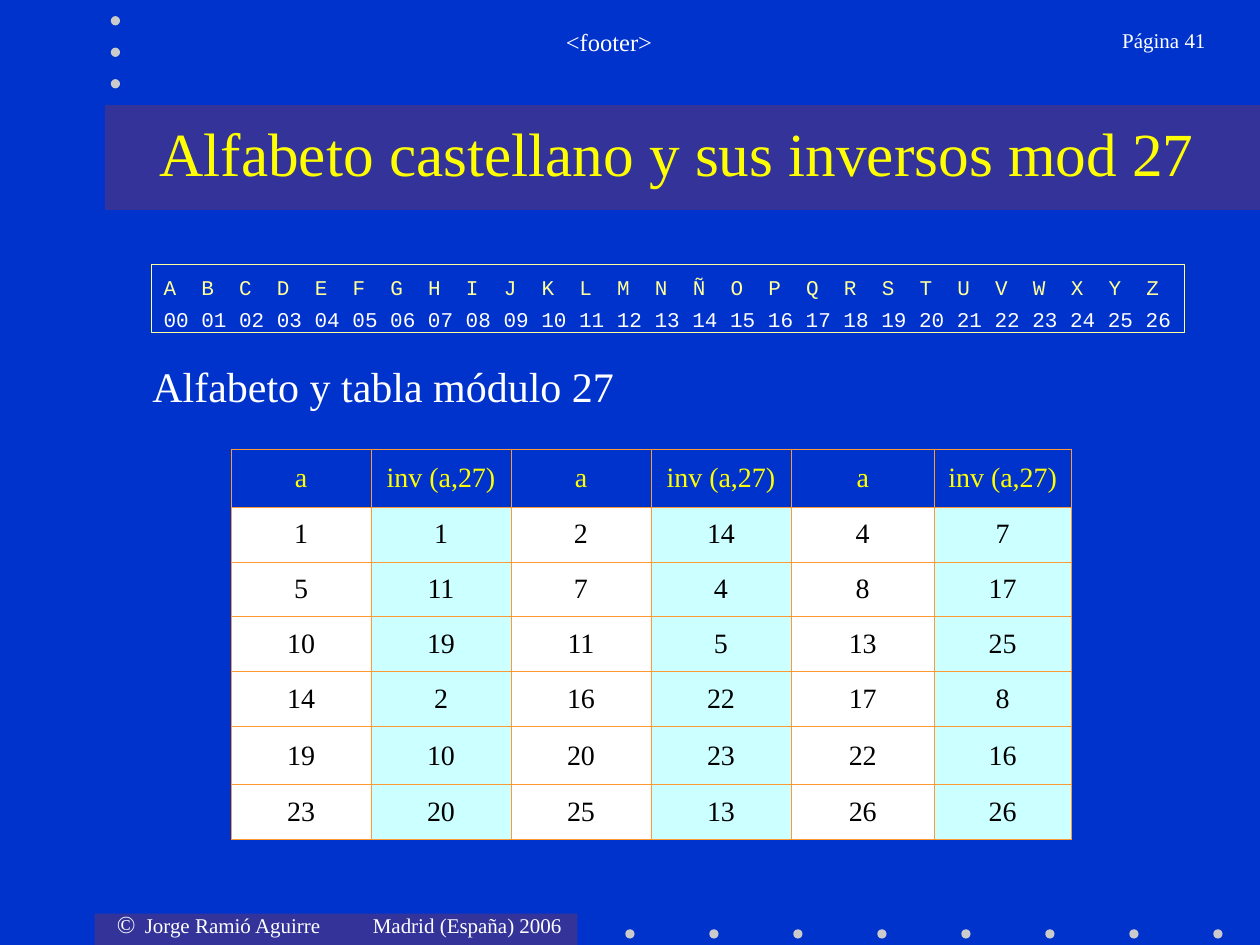
from lxml import etree
from pptx import Presentation
from pptx.dml.color import RGBColor
from pptx.enum.shapes import MSO_SHAPE
from pptx.enum.text import MSO_ANCHOR, PP_ALIGN
from pptx.oxml.ns import qn
from pptx.util import Pt

RECTANGLE, OVAL = MSO_SHAPE.RECTANGLE, MSO_SHAPE.OVAL
LEFT, CENTER, RIGHT = PP_ALIGN.LEFT, PP_ALIGN.CENTER, PP_ALIGN.RIGHT
TOP, MIDDLE = MSO_ANCHOR.TOP, MSO_ANCHOR.MIDDLE

SERIF, MONO = "Times New Roman", "Courier New"
COLORS = {
    "background": "0033CC",
    "band": "333399",
    "dot": "CBCBCB",
    "white": "FFFFFF",
    "black": "000000",
    "yellow": "FFFF00",
    "pale yellow": "FFFF99",
    "cyan": "CCFFFF",
    "border": "FF9933",
}

ALPHABET = "ABCDEFGHIJKLMNÑOPQRSTUVWXYZ"
LETTER_PITCH = 21.6
COLUMN_WIDTHS = [80, 80, 80, 80, 82, 78]
ROW_HEIGHTS = [33.2, 31.4, 31.4, 31.4, 31.4, 33.2, 31.4]
INVERSES = [
    ["a", "inv (a,27)"] * 3,
    [1, 1, 2, 14, 4, 7],
    [5, 11, 7, 4, 8, 17],
    [10, 19, 11, 5, 13, 25],
    [14, 2, 16, 22, 17, 8],
    [19, 10, 20, 23, 22, 16],
    [23, 20, 25, 13, 26, 26],
]


def color(name):
    return RGBColor.from_string(COLORS[name])


def add_shape(page, kind, left, top, width, height, fill=None, line=None):
    shape = page.shapes.add_shape(kind, Pt(left), Pt(top), Pt(width), Pt(height))
    shape.shadow.inherit = False
    if fill:
        shape.fill.solid()
        shape.fill.fore_color.rgb = color(fill)
    else:
        shape.fill.background()
    if line:
        shape.line.color.rgb = color(line)
        shape.line.width = Pt(0.75)
    else:
        shape.line.fill.background()
    return shape


def add_dot(page, left, top):
    add_shape(page, OVAL, left, top, 5.3, 5.3, fill="dot")


def set_tabs(para, positions):
    tab_list = etree.SubElement(para._p.get_or_add_pPr(), qn("a:tabLst"))
    for position in positions:
        etree.SubElement(tab_list, qn("a:tab"), pos=str(Pt(position)), algn="l")


def format_para(para, size, font_color, align=LEFT, font=SERIF):
    para.alignment = align
    for span in para.runs:
        span.font.size = Pt(size)
        span.font.name = font
        span.font.color.rgb = color(font_color)


def add_text(page, text, left, top, width, height, size, font_color="white",
             align=LEFT, anchor=TOP):
    box = page.shapes.add_textbox(Pt(left), Pt(top), Pt(width), Pt(height))
    frame = box.text_frame
    frame.word_wrap = True
    frame.vertical_anchor = anchor
    frame.text = text
    format_para(frame.paragraphs[0], size, font_color, align)
    return box


def add_copyright(page):
    box = add_text(page, "©", 59.7, 516.2, 280, 24.5, 14)
    para = box.text_frame.paragraphs[0]
    set_tabs(para, [16, 146.3])
    span = para.add_run()
    span.text = "\tJorge Ramió Aguirre\tMadrid (España) 2006"
    format_para(para, 12, "white")
    para.runs[0].font.size = Pt(14)


def add_alphabet(page):
    box = add_shape(page, RECTANGLE, 86.4, 151.2, 590.4, 39, line="pale yellow")
    frame = box.text_frame
    frame.word_wrap = True
    frame.vertical_anchor = TOP
    frame.margin_top, frame.margin_right = Pt(5.5), Pt(0)
    letters, codes = frame.paragraphs[0], frame.add_paragraph()
    letters.text = "\t".join(ALPHABET)
    set_tabs(letters, [LETTER_PITCH * i for i in range(1, len(ALPHABET))])
    codes.text = " ".join(f"{i:02}" for i in range(len(ALPHABET)))
    codes.space_before = Pt(4)
    format_para(letters, 12, "pale yellow", font=MONO)
    format_para(codes, 12, "white", font=MONO)


def set_borders(cell):
    properties = cell._tc.get_or_add_tcPr()
    for index, side in enumerate(("lnL", "lnR", "lnT", "lnB")):
        line = etree.Element(qn(f"a:{side}"), w=str(Pt(0.45)))
        fill = etree.SubElement(line, qn("a:solidFill"))
        etree.SubElement(fill, qn("a:srgbClr"), val=COLORS["border"])
        properties.insert(index, line)


def add_inverse_table(page):
    frame = page.shapes.add_table(
        len(ROW_HEIGHTS), len(COLUMN_WIDTHS), Pt(132), Pt(256.5),
        Pt(sum(COLUMN_WIDTHS)), Pt(sum(ROW_HEIGHTS)))
    table = frame.table
    table.first_row = table.horz_banding = False
    for column, width in zip(table.columns, COLUMN_WIDTHS):
        column.width = Pt(width)
    for r, (row, height) in enumerate(zip(table.rows, ROW_HEIGHTS)):
        row.height = Pt(height)
        for c, cell in enumerate(row.cells):
            cell.text_frame.text = str(INVERSES[r][c])
            cell.vertical_anchor = MIDDLE
            cell.margin_left = cell.margin_right = Pt(3)
            format_para(cell.text_frame.paragraphs[0], 16,
                        "black" if r else "yellow", CENTER)
            if r:
                cell.fill.solid()
                cell.fill.fore_color.rgb = color("cyan" if c % 2 else "white")
            else:
                cell.fill.background()
            set_borders(cell)


def main():
    deck = Presentation()
    deck.slide_width, deck.slide_height = Pt(720), Pt(540)
    page = deck.slides.add_slide(deck.slide_layouts[6])
    page.background.fill.solid()
    page.background.fill.fore_color.rgb = color("background")

    # Bands and rows of dots
    add_shape(page, RECTANGLE, 54, 522, 276, 18, fill="band")
    add_shape(page, RECTANGLE, 60, 60, 660, 60, fill="band")
    for i in range(8):
        add_dot(page, 357.3 + 48 * i, 531)
    for i in range(3):
        add_dot(page, 63.3, 9.2 + 18 * i)

    # Header and footer
    add_copyright(page)
    add_text(page, "<footer>", 114, 12, 468, 36, 14, align=CENTER)
    add_text(page, "Página 41", 597.6, 12, 98.4, 36, 12, align=RIGHT)

    # Title and content
    add_text(page, "Alfabeto castellano y sus inversos mod 27", 66, 60, 642, 54,
             35, "yellow", CENTER, MIDDLE)
    add_alphabet(page)
    add_text(page, "Alfabeto y tabla módulo 27", 80, 202.3, 298, 36, 24)
    add_inverse_table(page)

    deck.save("out.pptx")


if __name__ == "__main__":
    main()
